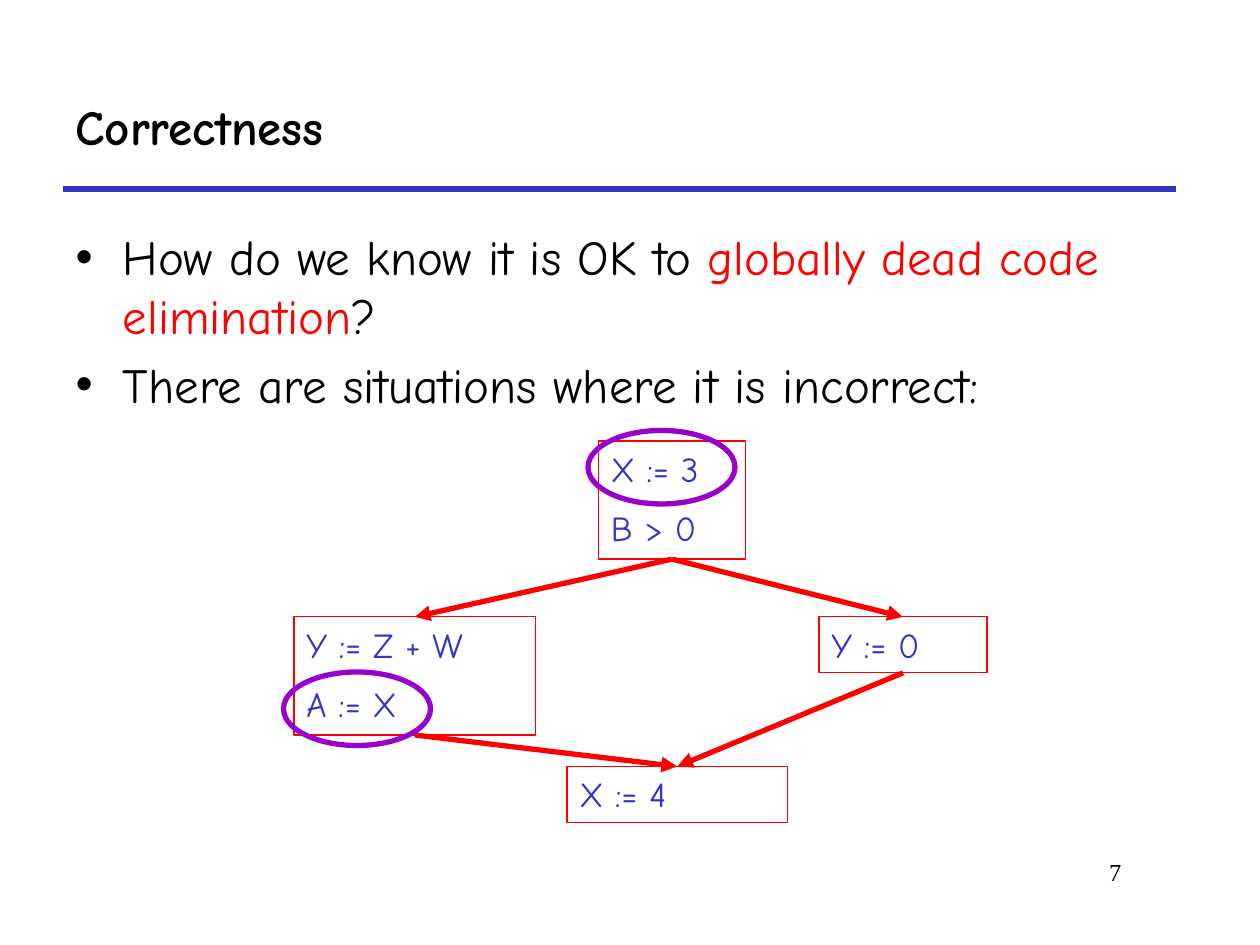
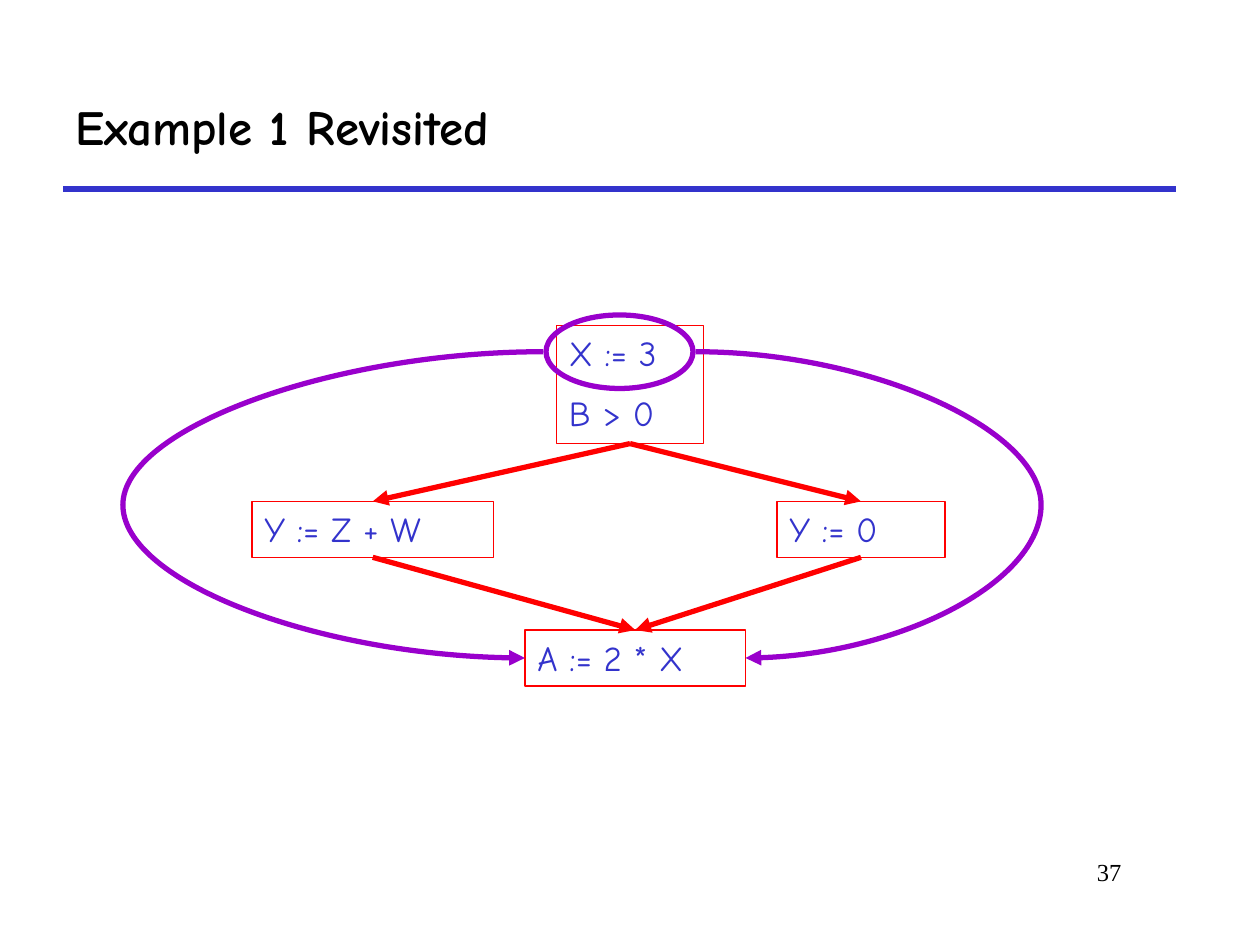
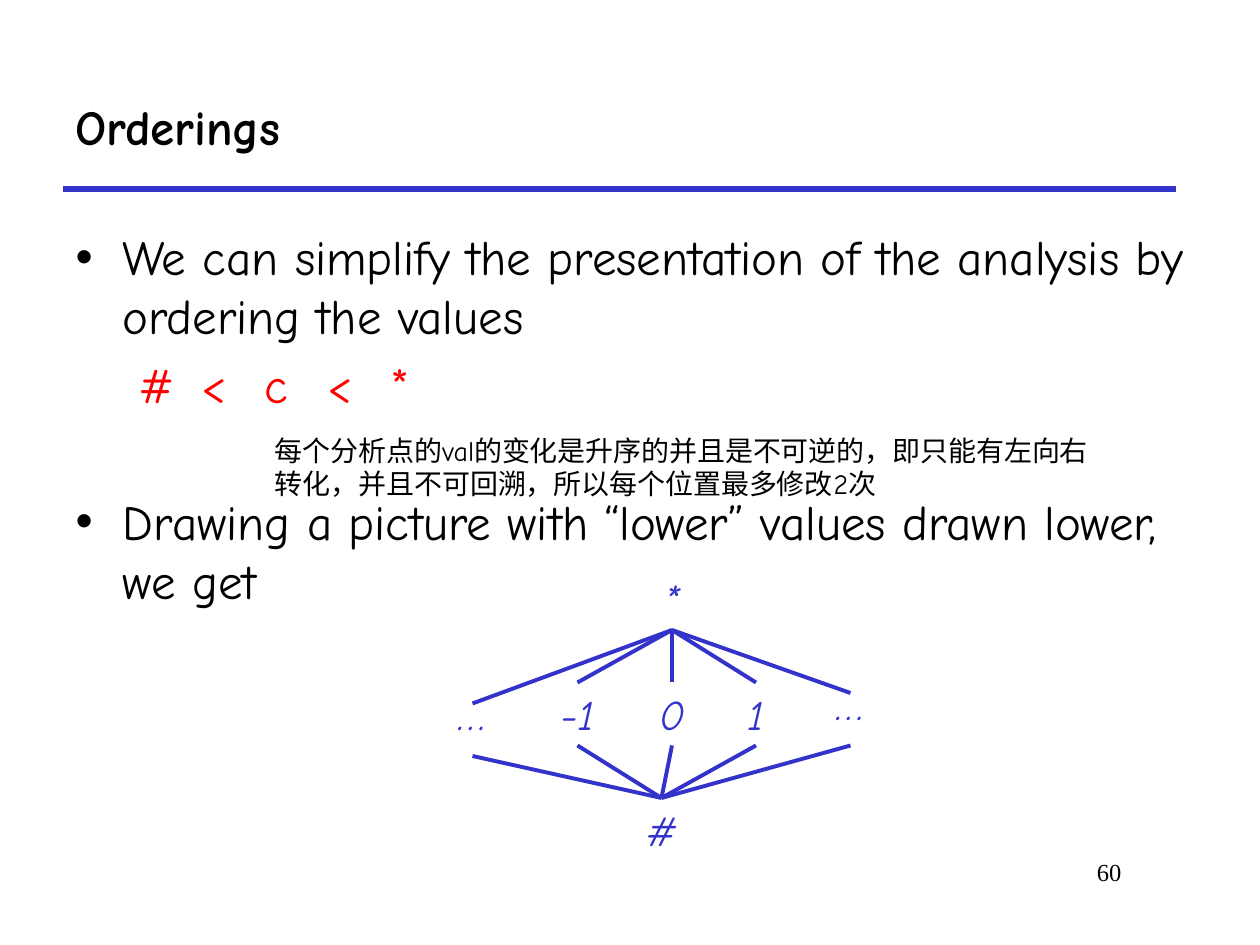
"""Build three lecture slides on global dead code elimination and value orderings."""
from lxml.etree import SubElement
from pptx import Presentation
from pptx.dml.color import RGBColor
from pptx.enum.shapes import MSO_CONNECTOR, MSO_SHAPE
from pptx.enum.text import MSO_ANCHOR, MSO_AUTO_SIZE, PP_ALIGN
from pptx.oxml.ns import qn
from pptx.util import Pt

BLACK = RGBColor(0x00, 0x00, 0x00)
BLUE = RGBColor(0x33, 0x33, 0xCC)
RED = RGBColor(0xFF, 0x00, 0x00)
PURPLE = RGBColor(0x99, 0x00, 0xCC)
HAND = "Comic Neue"
SERIF = "Times New Roman"
TITLE_ONLY, TITLE_AND_BODY = 5, 1
RING_WIDTH, RING_HEIGHT = 84, 42
LABEL_WIDTH, LABEL_HEIGHT = 48, 36


class Lecture:
    def __init__(self):
        self.deck = Presentation()
        self.deck.slide_width, self.deck.slide_height = Pt(720), Pt(540)
        self.slide = None

    def start(self, title, number, layout):
        self.slide = self.deck.slides.add_slide(self.deck.slide_layouts[layout])
        self.line((36, 108), (672, 108), BLUE, 3)
        self.text(number, (498, 486, 150, 36), 14, BLACK, PP_ALIGN.RIGHT, name=SERIF)
        heading = self.slide.shapes.title
        self.place(heading, (36, 36, 636, 72))
        frame = self.frame(heading, MSO_ANCHOR.MIDDLE)
        self.compose(frame.paragraphs[0], [title], 28, BLACK, PP_ALIGN.LEFT, bold=True)

    def place(self, shape, box):
        shape.left, shape.top, shape.width, shape.height = map(Pt, box)

    def frame(self, shape, anchor=MSO_ANCHOR.TOP):
        frame = shape.text_frame
        frame.word_wrap = True
        frame.auto_size = MSO_AUTO_SIZE.NONE
        frame.vertical_anchor = anchor
        return frame

    def compose(self, paragraph, pieces, size, color, align=PP_ALIGN.LEFT,
                name=HAND, bold=False, italic=False):
        paragraph.alignment = align
        font = paragraph.font
        font.name, font.size, font.bold, font.italic = name, Pt(size), bold, italic
        font.color.rgb = color
        for piece in pieces:
            words, accent = piece if isinstance(piece, tuple) else (piece, None)
            run = paragraph.add_run()
            run.text = words
            if accent is not None:
                run.font.color.rgb = accent

    def paragraphs(self, frame, count, gap):
        for index in range(count):
            paragraph = frame.add_paragraph() if index else frame.paragraphs[0]
            paragraph.space_before = Pt(gap if index else 0)
            yield paragraph

    def body(self, box, items):
        holder = self.slide.placeholders[1]
        self.place(holder, box)
        frame = self.frame(holder)
        paragraphs = list(self.paragraphs(frame, len(items), 5.6))
        for paragraph, pieces in zip(paragraphs, items):
            self.compose(paragraph, pieces, 28, BLACK)
        return paragraphs

    def tab_row(self, paragraph, symbols, stops, color):
        properties = paragraph._p.get_or_add_pPr()
        properties.remove_all("a:defRPr")
        properties.set("marL", "0")
        properties.set("indent", "0")
        SubElement(properties, qn("a:buNone"))
        tabs = SubElement(properties, qn("a:tabLst"))
        for stop in stops:
            SubElement(tabs, qn("a:tab"), pos=str(Pt(stop)), algn="ctr")
        self.compose(paragraph, ["".join("\t" + symbol for symbol in symbols)], 28, color)

    def text(self, words, box, size, color, align=PP_ALIGN.LEFT, **style):
        frame = self.frame(self.slide.shapes.add_textbox(*map(Pt, box)))
        self.compose(frame.paragraphs[0], [words], size, color, align, **style)

    def outline(self, preset, box, color, width):
        shape = self.slide.shapes.add_shape(preset, *map(Pt, box))
        shape.shadow.inherit = False
        shape.fill.background()
        shape.line.color.rgb = color
        shape.line.width = Pt(width)
        return shape

    def ring(self, left, top):
        self.outline(MSO_SHAPE.OVAL, (left, top, RING_WIDTH, RING_HEIGHT), PURPLE, 3)

    def block(self, left, top, width, code):
        height = 32 + 35.5 * (len(code) - 1)
        shape = self.outline(MSO_SHAPE.RECTANGLE, (left, top, width, height), RED, 0.75)
        frame = self.frame(shape)
        for paragraph, statement in zip(self.paragraphs(frame, len(code), 10), code):
            self.compose(paragraph, [statement], 20, BLUE)
        middle = left + width / 2
        return (middle, top), (middle, top + height)

    def line(self, start, end, color, width, arrow=False, kind=MSO_CONNECTOR.STRAIGHT):
        connector = self.slide.shapes.add_connector(kind, *map(Pt, (*start, *end)))
        connector.line.color.rgb = color
        connector.line.width = Pt(width)
        properties = connector._element.spPr
        if arrow:
            SubElement(properties.find(qn("a:ln")), qn("a:tailEnd"), type="triangle")
        SubElement(properties, qn("a:effectLst"))
        return connector

    def curve(self, start, end, bulge):
        connector = self.line(start, end, PURPLE, 3, True, MSO_CONNECTOR.CURVE)
        share = round((bulge - start[0]) / (end[0] - start[0]) * 100000)
        geometry = connector._element.spPr.find(qn("a:prstGeom"))
        adjustments = geometry.find(qn("a:avLst"))
        if adjustments is None:
            adjustments = SubElement(geometry, qn("a:avLst"))
        SubElement(adjustments, qn("a:gd"), name="adj1", fmla=f"val {share}")

    def branch(self, left, top, then_code, join_top, join_code):
        _, test_exit = self.block(left + 174, top, 84, ["X := 3", "B > 0"])
        arms = [self.block(left, top + 100.5, 138, then_code),
                self.block(left + 300, top + 100.5, 96, ["Y := 0"])]
        join_entry, _ = self.block(left + 156, join_top, 126, [join_code])
        for entry, leave in arms:
            self.line(test_exit, entry, RED, 3, True)
            self.line(leave, join_entry, RED, 3, True)
        self.ring(left + 168, top - 6)

    def label(self, symbol, left, top):
        self.text(symbol, (left, top, LABEL_WIDTH, LABEL_HEIGHT), 24, BLUE,
                  PP_ALIGN.CENTER, italic=True)


def correctness(lecture):
    lecture.start("Correctness", "7", TITLE_AND_BODY)
    lecture.body((36, 126, 654, 348), [
        ["How do we know it is OK to ", ("globally dead code elimination", RED), "?"],
        ["There are situations where it is incorrect:"],
    ])
    lecture.branch(168, 252, ["Y := Z + W", "A := X"], 438, "X := 4")
    lecture.ring(162, 384)


def example_revisited(lecture):
    lecture.start("Example 1 Revisited", "37", TITLE_ONLY)
    lecture.branch(144, 186, ["Y := Z + W"], 360, "A := 2 * X")
    lecture.curve((310.5, 201), (300, 376), 70)
    lecture.curve((397.5, 201), (426, 376), 595)


def orderings(lecture):
    lecture.start("Orderings", "60", TITLE_AND_BODY)
    _, order, drawing = lecture.body((36, 126, 660, 234), [
        ["We can simplify the presentation of the analysis by ordering the values"],
        [],
        ["Drawing a picture with “lower” values drawn lower, we get"],
    ])
    lecture.tab_row(order, "#<c<*", (240, 286, 328, 370, 410), RED)
    drawing.space_before = Pt(44.8)

    top, bottom = (384, 360), (378, 456)
    lecture.label("*", 360, 324)
    lecture.label("#", 354, 456)
    values = [("-1", 306, 390), ("0", 360, 390), ("1", 408, 390),
              ("…", 246, 390), ("…", 462, 384)]
    for value, left, label_top in values:
        lecture.label(value, left, label_top)
    ends = [(330, 390, 426), (384, 390, 426), (432, 390, 426),
            (270, 402, 432), (486, 396, 426)]
    for x, upper, lower in ends:
        lecture.line(top, (x, upper), BLUE, 2.25)
        lecture.line((x, lower), bottom, BLUE, 2.25)

    lecture.text("每个分析点的val的变化是升序的并且是不可逆的，即只能有左向右转化，"
                 "并且不可回溯，所以每个位置最多修改2次", (150, 244, 481, 46), 16, BLACK)


def main():
    lecture = Lecture()
    correctness(lecture)
    example_revisited(lecture)
    orderings(lecture)
    lecture.deck.save("out.pptx")


if __name__ == "__main__":
    main()
